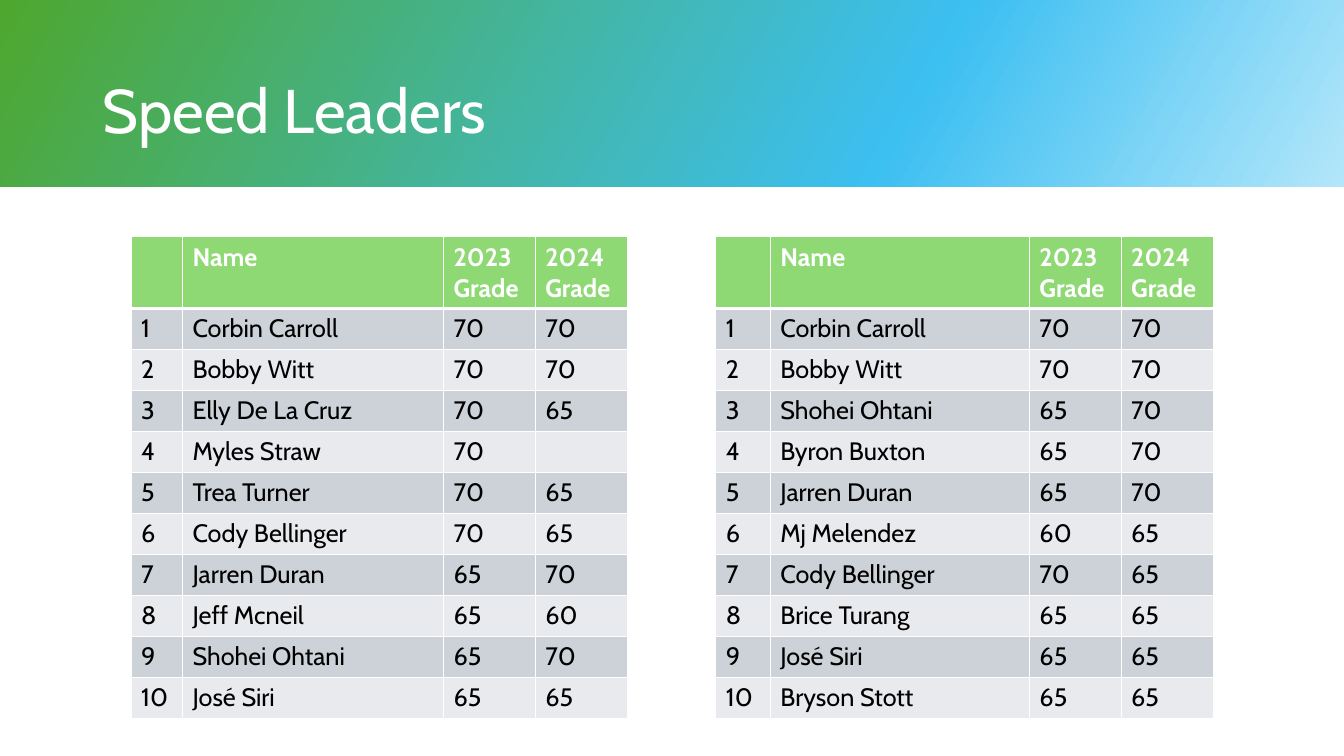
from lxml.etree import SubElement
from pptx import Presentation
from pptx.dml.color import RGBColor
from pptx.enum.shapes import MSO_SHAPE
from pptx.enum.text import MSO_ANCHOR, MSO_AUTO_SIZE, PP_ALIGN
from pptx.oxml.ns import qn
from pptx.util import Inches, Pt

WHITE = RGBColor(0xFF, 0xFF, 0xFF)
BLACK = RGBColor(0x00, 0x00, 0x00)
HEADER_GREEN = RGBColor(0x8E, 0xD9, 0x73)
BAND_DARK = RGBColor(0xCC, 0xD2, 0xD8)
BAND_LIGHT = RGBColor(0xE8, 0xEA, 0xED)
BANNER_STOPS = [
    (0, RGBColor(0x4E, 0xA7, 0x2E)),
    (67, RGBColor(0x3C, 0xBF, 0xF1)),
    (100, RGBColor(0xB3, 0xE6, 0xFA)),
]

TITLE_FORMAT = {"name": "Cabin", "size": Pt(44), "bold": False}
HEADER_FORMAT = {"name": "Cabin", "size": Pt(18), "bold": True}
BODY_FORMAT = {"name": "Cabin", "size": Pt(18), "bold": False}

HEADINGS = ["", "Name", "2023 Grade", "2024 Grade"]
HEADER_HEIGHT = 0.69
LEADERS_2023 = [
    ("Corbin Carroll", 70, 70),
    ("Bobby Witt", 70, 70),
    ("Elly De La Cruz", 70, 65),
    ("Myles Straw", 70, ""),
    ("Trea Turner", 70, 65),
    ("Cody Bellinger", 70, 65),
    ("Jarren Duran", 65, 70),
    ("Jeff Mcneil", 65, 60),
    ("Shohei Ohtani", 65, 70),
    ("José Siri", 65, 65),
]
LEADERS_2024 = [
    ("Corbin Carroll", 70, 70),
    ("Bobby Witt", 70, 70),
    ("Shohei Ohtani", 65, 70),
    ("Byron Buxton", 65, 70),
    ("Jarren Duran", 65, 70),
    ("Mj Melendez", 60, 65),
    ("Cody Bellinger", 70, 65),
    ("Brice Turang", 65, 65),
    ("José Siri", 65, 65),
    ("Bryson Stott", 65, 65),
]


def apply_format(font, values, color):
    """Set font attributes from a dict, then the colour."""
    for name, value in values.items():
        setattr(font, name, value)
    font.color.rgb = color


def add_banner(page, box):
    """Place the gradient banner behind everything else."""
    banner = page.shapes.add_shape(MSO_SHAPE.RECTANGLE, *map(Inches, box))
    banner.shadow.inherit = False
    banner.line.fill.background()
    banner.fill.gradient()
    banner.fill.gradient_angle = 330
    stops = banner._element.spPr.find(qn("a:gradFill")).find(qn("a:gsLst"))
    for stop in list(stops):
        stops.remove(stop)
    for percent, color in BANNER_STOPS:
        stop = SubElement(stops, qn("a:gs"), pos=str(percent * 1000))
        SubElement(stop, qn("a:srgbClr"), val=str(color))
    page.shapes._spTree.insert(2, banner._element)


def add_title(page, box, text):
    """Move the title placeholder into the box and format it."""
    title = page.shapes.title
    title.left, title.top, title.width, title.height = map(Inches, box)
    frame = title.text_frame
    frame.text = text
    frame.word_wrap = True
    frame.auto_size = MSO_AUTO_SIZE.NONE
    frame.vertical_anchor = MSO_ANCHOR.MIDDLE
    para = frame.paragraphs[0]
    para.alignment = PP_ALIGN.LEFT
    para.line_spacing = 0.9
    apply_format(para.runs[0].font, TITLE_FORMAT, WHITE)


def add_borders(cell, row):
    """Draw white cell borders, thicker under the header row."""
    widths = {"lnL": 1, "lnR": 1, "lnT": 3 if row == 1 else 1, "lnB": 3 if row == 0 else 1}
    for side, width in widths.items():
        line = SubElement(cell._tc.get_or_add_tcPr(), qn(f"a:{side}"), w=str(Pt(width)))
        fill = SubElement(line, qn("a:solidFill"))
        SubElement(fill, qn("a:srgbClr"), val=str(WHITE))


def add_leaders(page, box, widths, leaders):
    """Fill the box with a ranked table of players and grades."""
    rows = [HEADINGS] + [(rank, *leader) for rank, leader in enumerate(leaders, 1)]
    table = page.shapes.add_table(len(rows), len(widths), *map(Inches, box)).table
    for column, width in zip(table.columns, widths):
        column.width = Inches(width)
    body_height = (box[3] - HEADER_HEIGHT) / len(leaders)
    for r, values in enumerate(rows):
        table.rows[r].height = Inches(body_height if r else HEADER_HEIGHT)
        band = BAND_DARK if r % 2 else BAND_LIGHT
        for c, value in enumerate(values):
            cell = table.cell(r, c)
            add_borders(cell, r)
            cell.fill.solid()
            cell.fill.fore_color.rgb = band if r else HEADER_GREEN
            if value != "":
                span = cell.text_frame.paragraphs[0].add_run()
                span.text = str(value)
                apply_format(span.font, BODY_FORMAT if r else HEADER_FORMAT, BLACK if r else WHITE)


def main():
    """Build the speed leaders slide."""
    deck = Presentation()
    deck.slide_width, deck.slide_height = Inches(13.33), Inches(7.5)
    page = deck.slides.add_slide(deck.slide_layouts[5])
    add_banner(page, (0, 0, 13.33, 1.85))
    add_title(page, (0.92, 0.4, 11.5, 1.45), "Speed Leaders")
    add_leaders(page, (1.3, 2.35, 4.93, 4.76), (0.51, 2.59, 0.91, 0.92), LEADERS_2023)
    add_leaders(page, (7.1, 2.35, 4.93, 4.76), (0.54, 2.57, 0.91, 0.92), LEADERS_2024)
    deck.save("out.pptx")


if __name__ == "__main__":
    main()
